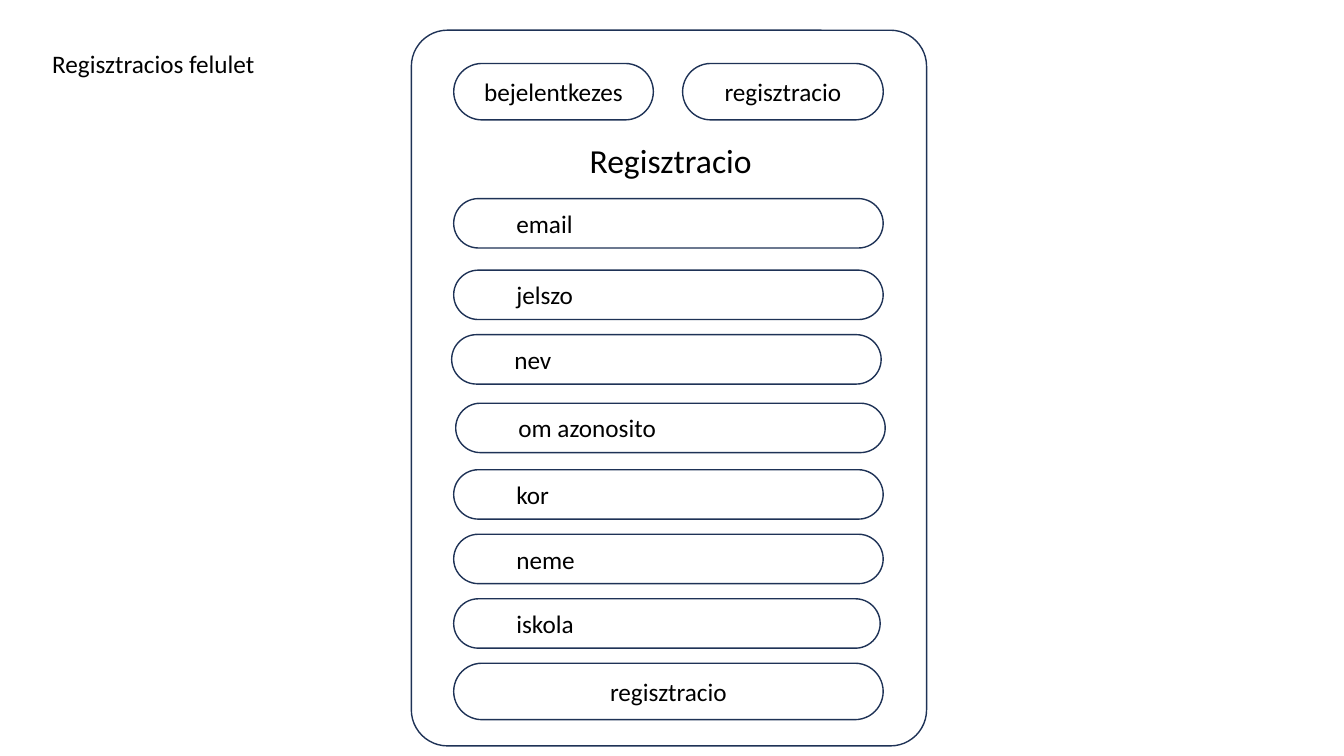
from pptx import Presentation
from pptx.dml.color import RGBColor
from pptx.enum.shapes import MSO_SHAPE
from pptx.enum.text import MSO_ANCHOR, MSO_AUTO_SIZE, PP_ALIGN
from pptx.util import Inches, Pt

ROUNDED = MSO_SHAPE.ROUNDED_RECTANGLE
MIDDLE = MSO_ANCHOR.MIDDLE
GROW = MSO_AUTO_SIZE.SHAPE_TO_FIT_TEXT
LEFT, CENTER = PP_ALIGN.LEFT, PP_ALIGN.CENTER

WHITE = RGBColor(0xFF, 0xFF, 0xFF)
BLACK = RGBColor(0x00, 0x00, 0x00)
NAVY = RGBColor(0x1E, 0x32, 0x56)

CELL = Inches(0.1)
COLUMNS, ROWS = 133.3, 75
PILL = 0.5
FORM_LEFT, FORM_WIDTH = 45, 42.6
FIELD_HEIGHT, BUTTON_HEIGHT = 4.9, 5.6

FIELDS = [
    ("email", FORM_LEFT, 19.7, FORM_WIDTH),
    ("jelszo", FORM_LEFT, 26.8, FORM_WIDTH),
    ("nev", 44.8, 33.2, FORM_WIDTH),
    ("om azonosito", 45.2, 40, FORM_WIDTH),
    ("kor", FORM_LEFT, 46.6, FORM_WIDTH),
    ("neme", FORM_LEFT, 53, FORM_WIDTH),
    ("iskola", FORM_LEFT, 59.4, 42.3),
]
BUTTONS = [
    ("bejelentkezes", FORM_LEFT, 6.3, 19.8),
    ("regisztracio", 67.7, 6.3, 19.9),
    ("regisztracio", FORM_LEFT, 65.8, FORM_WIDTH),
]


class FormPage:
    """Draws the form elements on one page, measured in grid cells."""

    font_format = {"name": "Calibri", "size": Pt(18), "bold": False}

    def __init__(self, page):
        self.page = page

    def place(self, *cells):
        return [round(cell * CELL) for cell in cells]

    def add_wording(self, shape, text, align=LEFT, **changes):
        para = shape.text_frame.paragraphs[0]
        para.alignment = align
        span = para.add_run()
        span.text = text
        for name, value in {**self.font_format, **changes}.items():
            setattr(span.font, name, value)
        span.font.color.rgb = BLACK

    def label(self, text, left, top, width, height, **changes):
        box = self.page.shapes.add_textbox(*self.place(left, top, width, height))
        box.text_frame.word_wrap = False
        box.text_frame.auto_size = GROW
        self.add_wording(box, text, **changes)

    def panel(self, left, top, width, height, rounding):
        shape = self.page.shapes.add_shape(ROUNDED, *self.place(left, top, width, height))
        shape.adjustments[0] = rounding
        shape.shadow.inherit = False
        shape.fill.solid()
        shape.fill.fore_color.rgb = WHITE
        shape.line.color.rgb = NAVY
        shape.line.width = Pt(1)
        return shape

    def button(self, text, left, top, width):
        shape = self.panel(left, top, width, BUTTON_HEIGHT, PILL)
        shape.text_frame.vertical_anchor = MIDDLE
        self.add_wording(shape, text, CENTER)

    def field(self, text, left, top, width):
        shape = self.panel(left, top, width, FIELD_HEIGHT, PILL)
        shape.text_frame.vertical_anchor = MIDDLE
        shape.text_frame.margin_left = round(5.5 * CELL)
        self.add_wording(shape, text)


def main():
    deck = Presentation()
    deck.slide_width = round(COLUMNS * CELL)
    deck.slide_height = ROWS * CELL
    form = FormPage(deck.slides.add_slide(deck.slide_layouts[6]))

    form.label("Regisztracios felulet", 4.2, 4.3, 22.3, 4)
    form.panel(40.8, 3, 51.1, 71, 0.07)
    form.label("Regisztracio", 57.5, 13.4, 18.2, 5, size=Pt(24))
    for field in FIELDS:
        form.field(*field)
    for button in BUTTONS:
        form.button(*button)

    deck.save("out.pptx")


if __name__ == "__main__":
    main()
